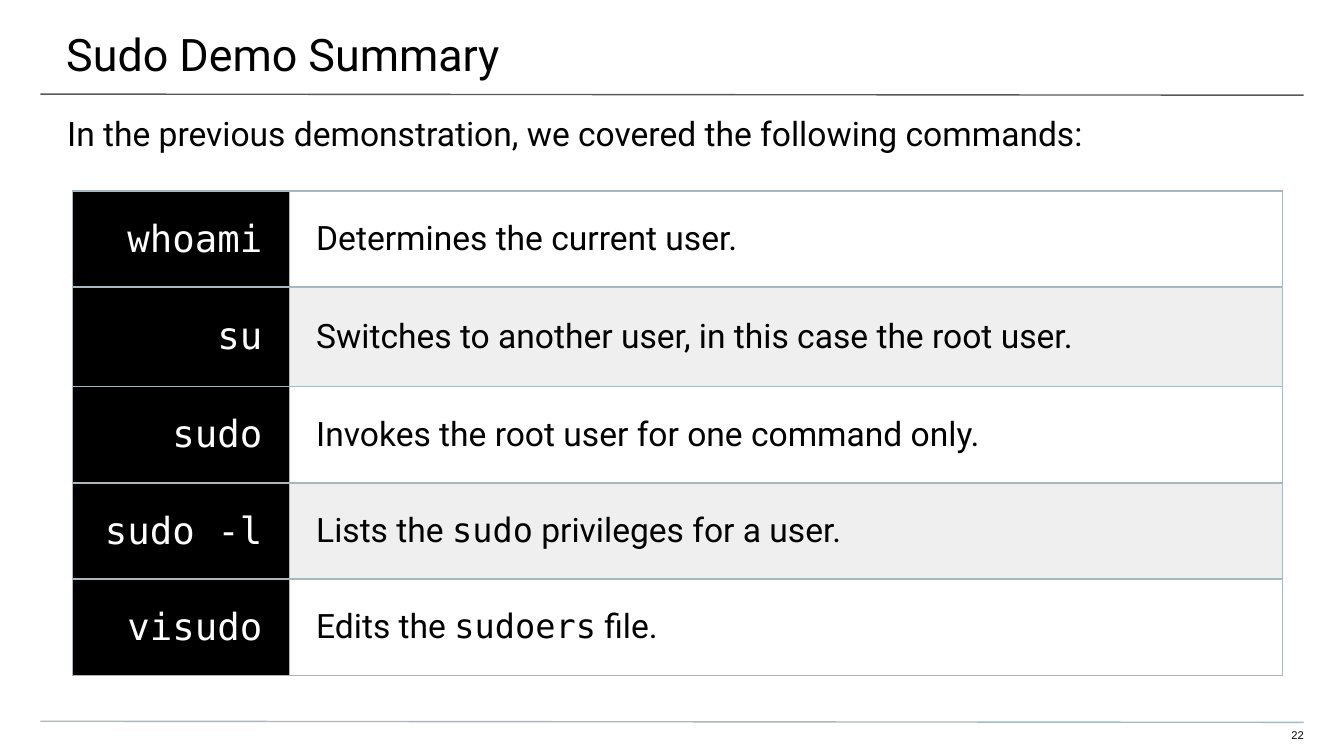
from dataclasses import dataclass

from lxml.etree import SubElement
from pptx import Presentation
from pptx.dml.color import RGBColor
from pptx.enum.text import MSO_ANCHOR, PP_ALIGN
from pptx.oxml.ns import qn
from pptx.util import Pt


@dataclass(frozen=True)
class Theme:
    black: str = "000000"
    white: str = "FFFFFF"
    band: str = "EFEFEF"
    rule: str = "595959"
    edge: str = "A9B7C0"
    sans: str = "Roboto"
    mono: str = "DejaVu Sans Mono"
    small: str = "Arial"
    head: int = 24
    code: int = 20
    body: int = 18
    foot: int = 6
    line: float = 0.75


class Maker:
    def __init__(self, theme, slide):
        self.theme = theme
        self.slide = slide

    def style(self, run, face, size, color):
        run.font.name = face
        run.font.size = Pt(size)
        run.font.color.rgb = RGBColor.from_string(color)

    def rule(self, start, end, color):
        line = self.slide.shapes.add_connector(1, *map(Pt, start + end))
        line.line.color.rgb = RGBColor.from_string(color)
        line.line.width = Pt(self.theme.line)
        SubElement(line._element.spPr, qn("a:effectLst"))

    def text(self, box, pads, words, face, size, align=PP_ALIGN.LEFT):
        frame = self.slide.shapes.add_textbox(*map(Pt, box)).text_frame
        frame.word_wrap = True
        frame.vertical_anchor = MSO_ANCHOR.TOP
        (frame.margin_left, frame.margin_top,
         frame.margin_right, frame.margin_bottom) = map(Pt, pads)
        frame.text = words
        para = frame.paragraphs[0]
        para.alignment = align
        self.style(para.runs[0], face, size, self.theme.black)

    def border(self, cell):
        props = cell._tc.get_or_add_tcPr()
        for spot, side in enumerate(("lnL", "lnR", "lnT", "lnB")):
            line = props.makeelement(qn("a:" + side), {"w": str(Pt(self.theme.line))})
            fill = SubElement(line, qn("a:solidFill"))
            SubElement(fill, qn("a:srgbClr"), val=self.theme.edge)
            props.insert(spot, line)

    def cell(self, cell, parts, size, color, fill, align):
        """Parts are (words, face) pairs set in one paragraph."""
        cell.fill.solid()
        cell.fill.fore_color.rgb = RGBColor.from_string(fill)
        cell.vertical_anchor = MSO_ANCHOR.MIDDLE
        cell.margin_left = cell.margin_right = Pt(14.4)
        cell.margin_top = cell.margin_bottom = Pt(7.2)
        para = cell.text_frame.paragraphs[0]
        para.alignment = align
        for words, face in parts:
            run = para.add_run()
            run.text = words
            self.style(run, face, size, color)
        self.border(cell)

    def table(self, left, top, widths, heights, rows):
        look = self.theme
        frame = self.slide.shapes.add_table(
            len(rows), len(widths), Pt(left), Pt(top), Pt(sum(widths)), Pt(sum(heights)))
        grid = frame.table
        grid.first_row = grid.horz_banding = False
        for col, width in zip(grid.columns, widths):
            col.width = Pt(width)
        for row, height in zip(grid.rows, heights):
            row.height = Pt(height)
        for num, (name, note) in enumerate(rows):
            self.cell(grid.cell(num, 0), [(name, look.mono)],
                      look.code, look.white, look.black, PP_ALIGN.RIGHT)
            # Backticks mark code, so every second part is mono
            parts = [(words, look.mono if spot % 2 else look.sans)
                     for spot, words in enumerate(note.split("`"))]
            self.cell(grid.cell(num, 1), parts, look.body, look.black,
                      look.band if num % 2 else look.white, PP_ALIGN.LEFT)


def main():
    deck = Presentation()
    deck.slide_width, deck.slide_height = Pt(720), Pt(405)
    look = Theme()
    make = Maker(look, deck.slides.add_slide(deck.slide_layouts[6]))

    # Rules above and below the content
    make.rule((21.6, 50.4), (698.4, 51), look.rule)
    make.rule((21.6, 386.4), (698.4, 387), look.edge)

    # Title and lead
    make.text((-0.5, 0, 722, 42), (36, 14.4, 21.6, 7.2),
              "Sudo Demo Summary", look.sans, look.head)
    make.text((0, 53.3, 720, 85), (36, 7.2, 36, 0),
              "In the previous demonstration, we covered the following commands:",
              look.sans, look.body)

    # Commands and what they do
    make.table(39, 102.3, (116, 532), (51.5, 53.5, 51.5, 51.5, 51.5), [
        ("whoami", "Determines the current user."),
        ("su", "Switches to another user, in this case the root user."),
        ("sudo", "Invokes the root user for one command only."),
        ("sudo -l", "Lists the `sudo` privileges for a user."),
        ("visudo", "Edits the `sudoers` file."),
    ])

    # Page number
    make.text((677.5, 390.2, 20.9, 8.6), (0, 0, 0, 7.2),
              "22", look.small, look.foot, PP_ALIGN.RIGHT)

    deck.save("out.pptx")


if __name__ == "__main__":
    main()
